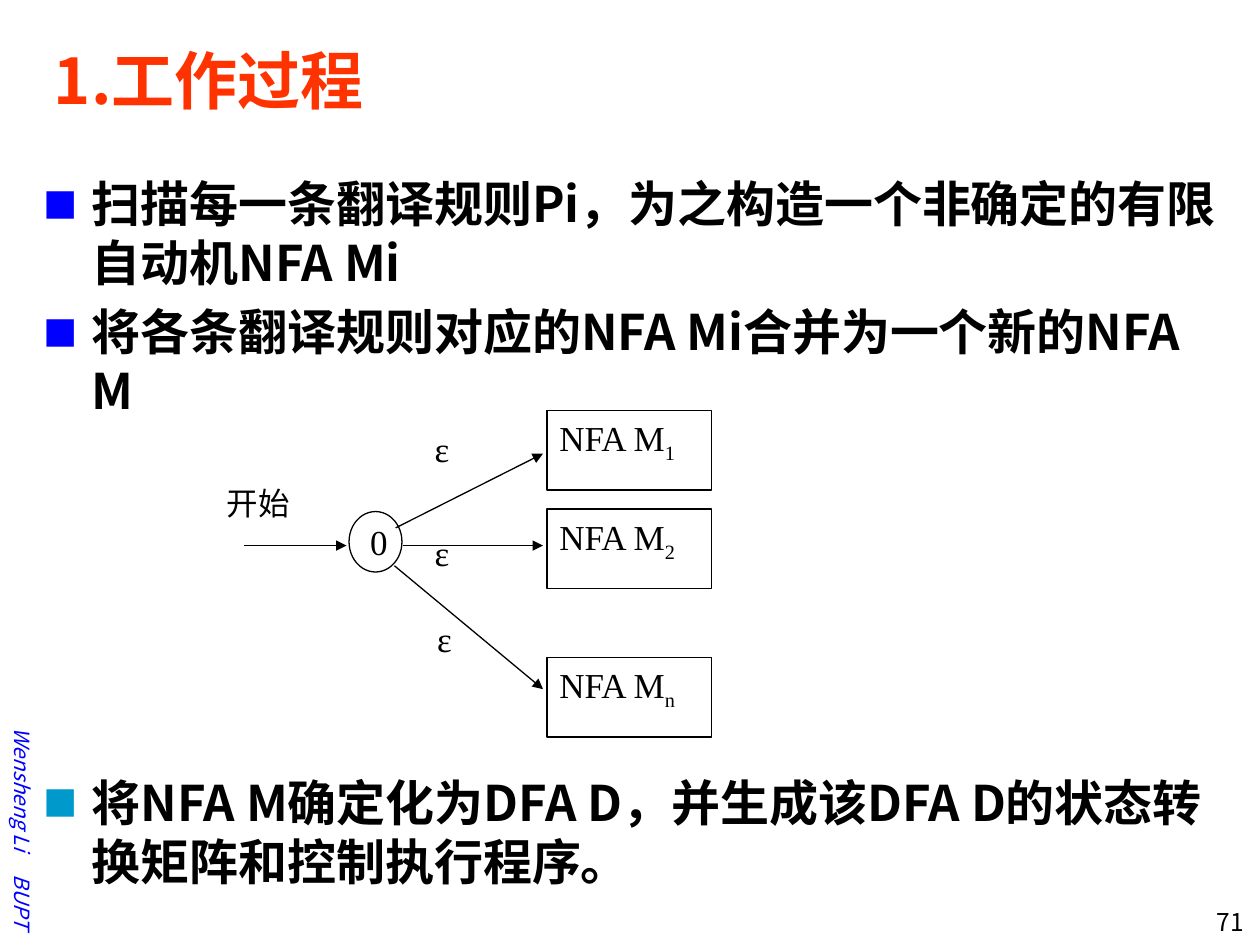
from lxml import etree
from pptx import Presentation
from pptx import util as u
from pptx.dml.color import RGBColor
from pptx.enum import shapes, text
from pptx.oxml import ns

PX = 9144
SANS = "Noto Sans CJK SC"
SERIF = "Times New Roman"
BLACK = RGBColor(0, 0, 0)
RED = RGBColor(0xFF, 0x33, 0x00)
BLUE = RGBColor(0, 0, 0xFF)
TEAL = RGBColor(0x00, 0x99, 0xCC)


def px(*lengths):
    """Turn px lengths into EMU."""
    return [u.Emu(length * PX) for length in lengths]


def add_span(para, words, size, font=SANS, color=BLACK, bold=False, italic=False):
    """Append one styled run and return it."""
    span = para.add_run()
    span.text = words
    span.font.size = u.Pt(size)
    span.font.name = font
    span.font.color.rgb = color
    span.font.bold = bold
    span.font.italic = italic
    etree.SubElement(span.font._element, ns.qn("a:ea"), typeface=font)
    return span


def add_label(page, box, words="", size=20, font=SERIF, align=None, anchor=None, **style):
    """Add a text box and return it."""
    label = page.shapes.add_textbox(*px(*box))
    frame = label.text_frame
    frame.word_wrap = True
    frame.vertical_anchor = anchor or text.MSO_ANCHOR.TOP
    frame.paragraphs[0].alignment = align
    if words:
        add_span(frame.paragraphs[0], words, size, font, **style)
    return label


def add_bullets(page, box, items, color):
    """Fill a text box with square-bulleted bold paragraphs."""
    frame = add_label(page, box).text_frame
    for index, words in enumerate(items):
        para = frame.add_paragraph() if index else frame.paragraphs[0]
        para.space_before = u.Pt(5.6)
        para.line_spacing = u.Pt(33.7)
        add_span(para, words, 28, bold=True)
        props = para._p.get_or_add_pPr()
        indent, = px(38)
        props.set("marL", str(indent))
        props.set("indent", str(-indent))
        tint = etree.SubElement(props, ns.qn("a:buClr"))
        etree.SubElement(tint, ns.qn("a:srgbClr"), val=str(color))
        etree.SubElement(props, ns.qn("a:buSzPct"), val="70000")
        etree.SubElement(props, ns.qn("a:buFont"), typeface=SANS)
        etree.SubElement(props, ns.qn("a:buChar"), char="■")


def add_outline(page, kind, box):
    """Add an unfilled black-edged shape."""
    shape = page.shapes.add_shape(kind, *px(*box))
    shape.shadow.inherit = False
    shape.fill.background()
    shape.line.color.rgb = BLACK
    shape.line.width = u.Pt(0.75)
    return shape


def add_arrow(page, left, top, start, end):
    """Add an arrow between two points relative to a corner."""
    ends = px(left + start[0], top + start[1], left + end[0], top + end[1])
    arrow = page.shapes.add_connector(shapes.MSO_CONNECTOR.STRAIGHT, *ends)
    arrow.line.color.rgb = BLACK
    arrow.line.width = u.Pt(0.75)
    etree.SubElement(arrow.line._get_or_add_ln(), ns.qn("a:tailEnd"), type="triangle")
    etree.SubElement(arrow._element.spPr, ns.qn("a:effectLst"))


def add_machine(page, box, index):
    """Add one NFA rectangle with its subscript."""
    machine = add_outline(page, shapes.MSO_SHAPE.RECTANGLE, box)
    frame = machine.text_frame
    frame.vertical_anchor = text.MSO_ANCHOR.TOP
    para = frame.paragraphs[0]
    para.alignment = text.PP_ALIGN.LEFT
    add_span(para, "NFA M", 20, SERIF)
    subscript = add_span(para, index, 20, SERIF)
    subscript.font._element.set("baseline", "-25000")


def add_diagram(page, left, top):
    """Draw the start state branching to the NFAs."""
    add_outline(page, shapes.MSO_SHAPE.OVAL, (left + 107, top + 80, 42, 48))
    add_label(page, (left + 114, top + 82, 40, 71), "0")
    add_label(page, (left, top + 53, 102, 65), "开始", 18, SANS)
    add_arrow(page, left, top, (24, 107), (105, 107))
    branches = (
        ("1", 0, (144, 93), 34, (165, 8)),
        ("2", 78, (150, 107), 107, (165, 91)),
        ("n", 196, (143, 123), 221, (167, 159)),
    )
    for index, offset, start, end, epsilon in branches:
        add_machine(page, (left + 264, top + offset, 131, 63), index)
        add_arrow(page, left, top, start, (261, end))
        add_label(page, (left + epsilon[0], top + epsilon[1], 65, 65), "ε")


def add_signature(page, box):
    """Add the sideways author line."""
    label = add_label(page, box, align=text.PP_ALIGN.RIGHT, anchor=text.MSO_ANCHOR.MIDDLE)
    label.rotation = 90
    para = label.text_frame.paragraphs[0]
    for words in ("Wensheng Li", " ", "BUPT"):
        span = add_span(para, words, 12, color=BLUE, italic=True)
        if words == " ":
            span.font._element.set("spc", "1080")


def build_slide(deck):
    """Place every region on a blank page."""
    page = deck.slides.add_slide(deck.slide_layouts[6])
    add_signature(page, (-114, 600, 264, 30))
    add_label(page, (918, 715, 79, 30), "71", 14, SANS, text.PP_ALIGN.RIGHT)
    add_label(page, (33, 17, 942, 92), "1.工作过程", 36, SANS,
              anchor=text.MSO_ANCHOR.MIDDLE, color=RED, bold=True)
    add_bullets(page, (25, 133, 950, 172), (
        "扫描每一条翻译规则Pi，为之构造一个非确定的有限自动机NFA Mi",
        "将各条翻译规则对应的NFA Mi合并为一个新的NFA M",
    ), BLUE)
    add_diagram(page, 170, 326)
    add_bullets(page, (25, 608, 950, 117), (
        "将NFA M确定化为DFA D，并生成该DFA D的状态转换矩阵和控制执行程序。",
    ), TEAL)


def main():
    """Build and save the deck."""
    deck = Presentation()
    deck.slide_width, deck.slide_height = px(1000, 750)
    build_slide(deck)
    deck.save("out.pptx")


if __name__ == "__main__":
    main()
